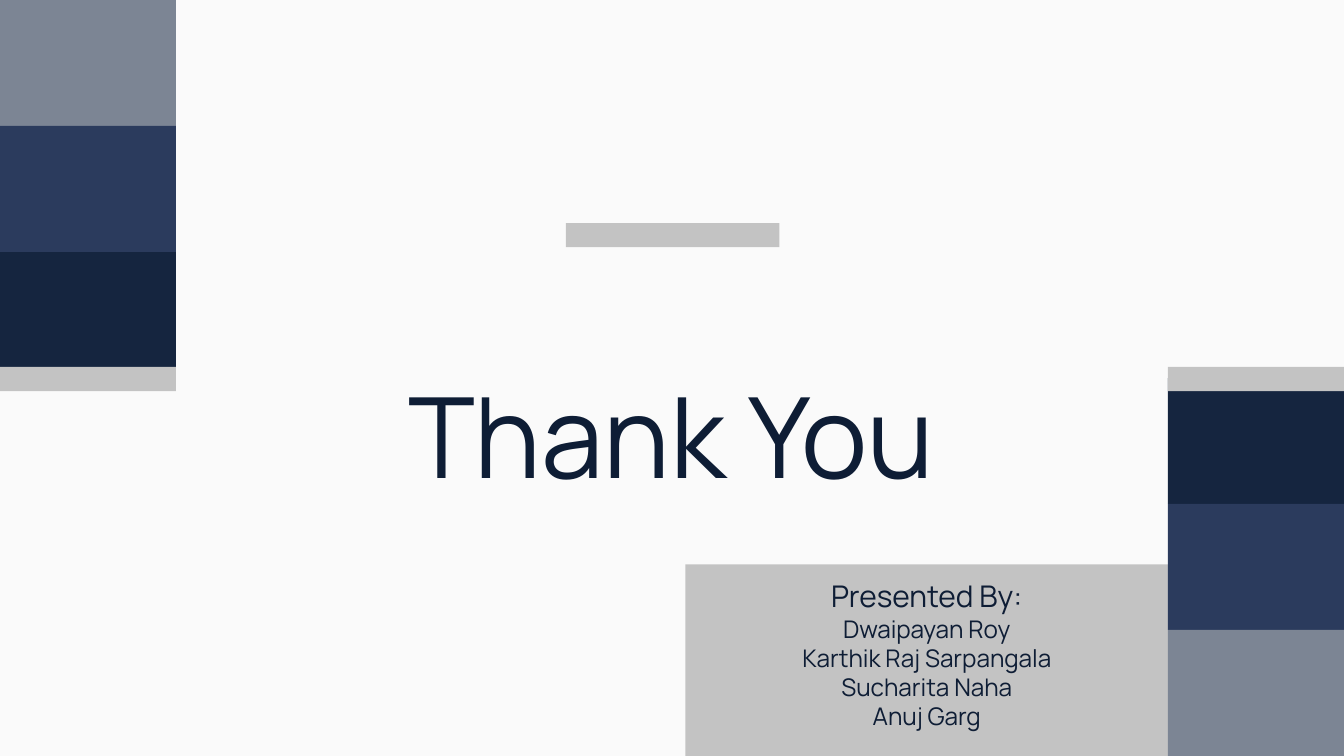
from dataclasses import dataclass

from pptx import Presentation
from pptx.dml.color import RGBColor
from pptx.enum.shapes import MSO_SHAPE
from pptx.enum.text import MSO_ANCHOR, PP_ALIGN
from pptx.util import Inches, Pt

FONT = "Manrope"
INK, NAVY, BLUE, SLATE, SILVER = "0E1D35", "15253F", "2B3B5D", "7C8594", "C3C3C3"
SLIDE_WIDTH = 10
SLIDE_HEIGHT = SLIDE_WIDTH * 9 / 16
BAND_WIDTH, BAND_HEIGHT = 1.31, SLIDE_HEIGHT / 6
BAR_TOP, BAR_HEIGHT = 2.73, 0.18


@dataclass
class Line:
    text: str
    size: float


@dataclass
class Column:
    left: float
    top: float
    colors: list[str]


def set_fill(fill, color: str) -> None:
    fill.solid()
    fill.fore_color.rgb = RGBColor.from_string(color)


def add_rectangle(page, left: float, top: float, width: float, height: float, color: str):
    box = page.shapes.add_shape(
        MSO_SHAPE.RECTANGLE, Inches(left), Inches(top), Inches(width), Inches(height))
    box.shadow.inherit = False
    set_fill(box.fill, color)
    box.line.fill.background()
    return box


def write_lines(box, lines: list[Line], anchor: MSO_ANCHOR) -> None:
    frame = box.text_frame
    frame.word_wrap = True
    frame.vertical_anchor = anchor
    frame.margin_left = frame.margin_right = Inches(0.1)
    frame.margin_top = frame.margin_bottom = Inches(0.1)
    frame.text = "\n".join(line.text for line in lines)
    for para, line in zip(frame.paragraphs, lines):
        para.alignment = PP_ALIGN.CENTER
        for span in para.runs:
            span.font.name = FONT
            span.font.size = Pt(line.size)
            set_fill(span.font.fill, INK)


def add_column(page, column: Column) -> None:
    for index, color in enumerate(column.colors):
        add_rectangle(page, column.left, column.top + index * BAND_HEIGHT,
                      BAND_WIDTH, BAND_HEIGHT, color)
    add_rectangle(page, column.left, BAR_TOP, BAND_WIDTH, BAR_HEIGHT, SILVER)


def main() -> None:
    deck = Presentation()
    deck.slide_width, deck.slide_height = Inches(SLIDE_WIDTH), Inches(SLIDE_HEIGHT)
    page = deck.slides.add_slide(deck.slide_layouts[6])
    set_fill(page.background.fill, "FAFAFA")

    # Title with the accent bar above it
    title = page.shapes.add_textbox(Inches(2.86), Inches(1.51), Inches(4.27), Inches(2.32))
    write_lines(title, [Line("Thank You", 60)], MSO_ANCHOR.BOTTOM)
    add_rectangle(page, 4.21, 1.66, 1.59, BAR_HEIGHT, SILVER)

    # Presenters, down to the bottom edge
    names = ["Dwaipayan Roy", "Karthik Raj Sarpangala", "Sucharita Naha", "Anuj Garg"]
    presenters = add_rectangle(page, 5.1, 4.2, 3.59, SLIDE_HEIGHT - 4.2, SILVER)
    write_lines(presenters, [Line("Presented By:", 16)] + [Line(name, 13) for name in names],
                MSO_ANCHOR.TOP)

    # Colour columns in opposite corners, each half the slide high
    for column in (
        Column(0, 0, [SLATE, BLUE, NAVY]),
        Column(SLIDE_WIDTH - BAND_WIDTH, SLIDE_HEIGHT / 2, [NAVY, BLUE, SLATE]),
    ):
        add_column(page, column)

    deck.save("out.pptx")


if __name__ == "__main__":
    main()
